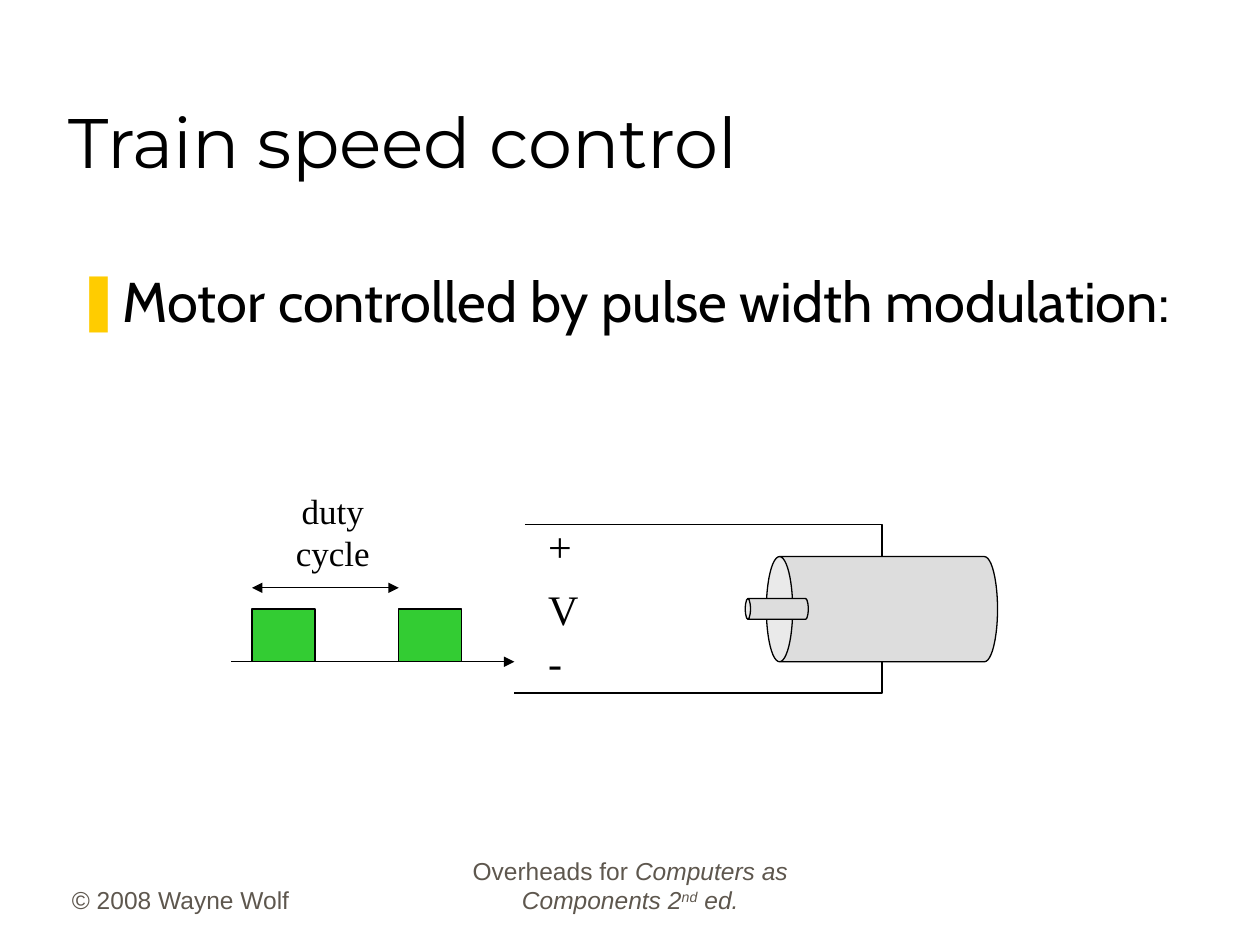
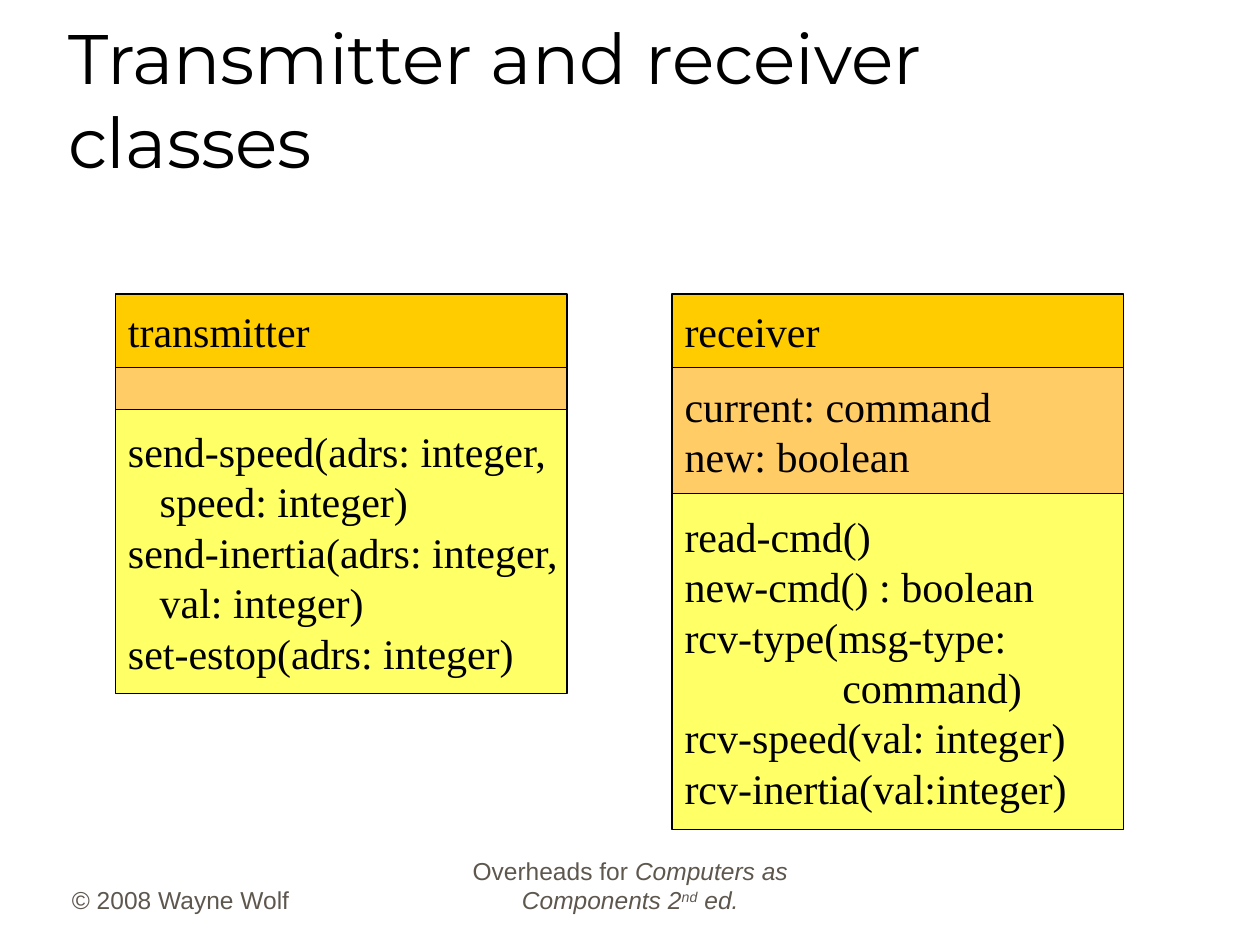
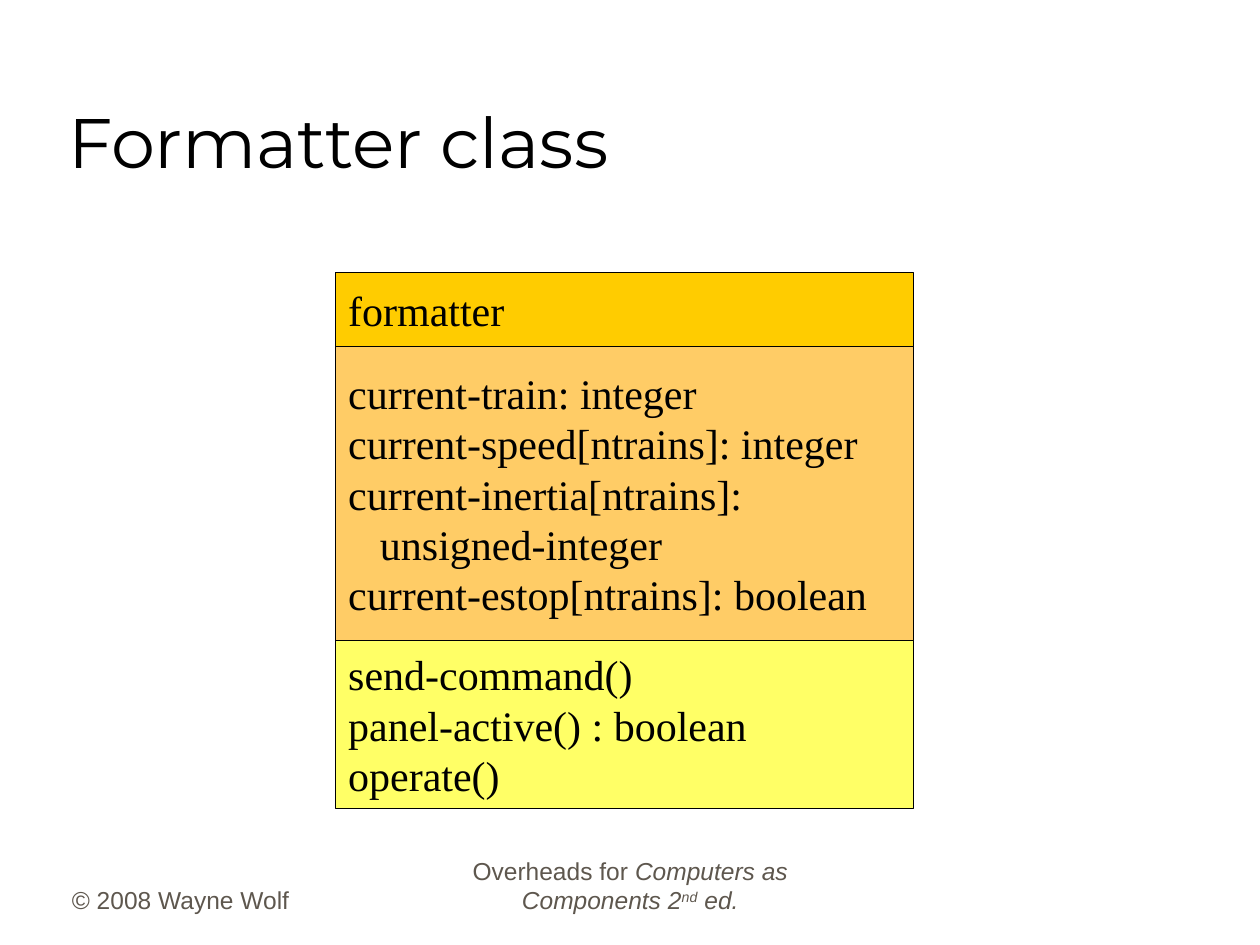
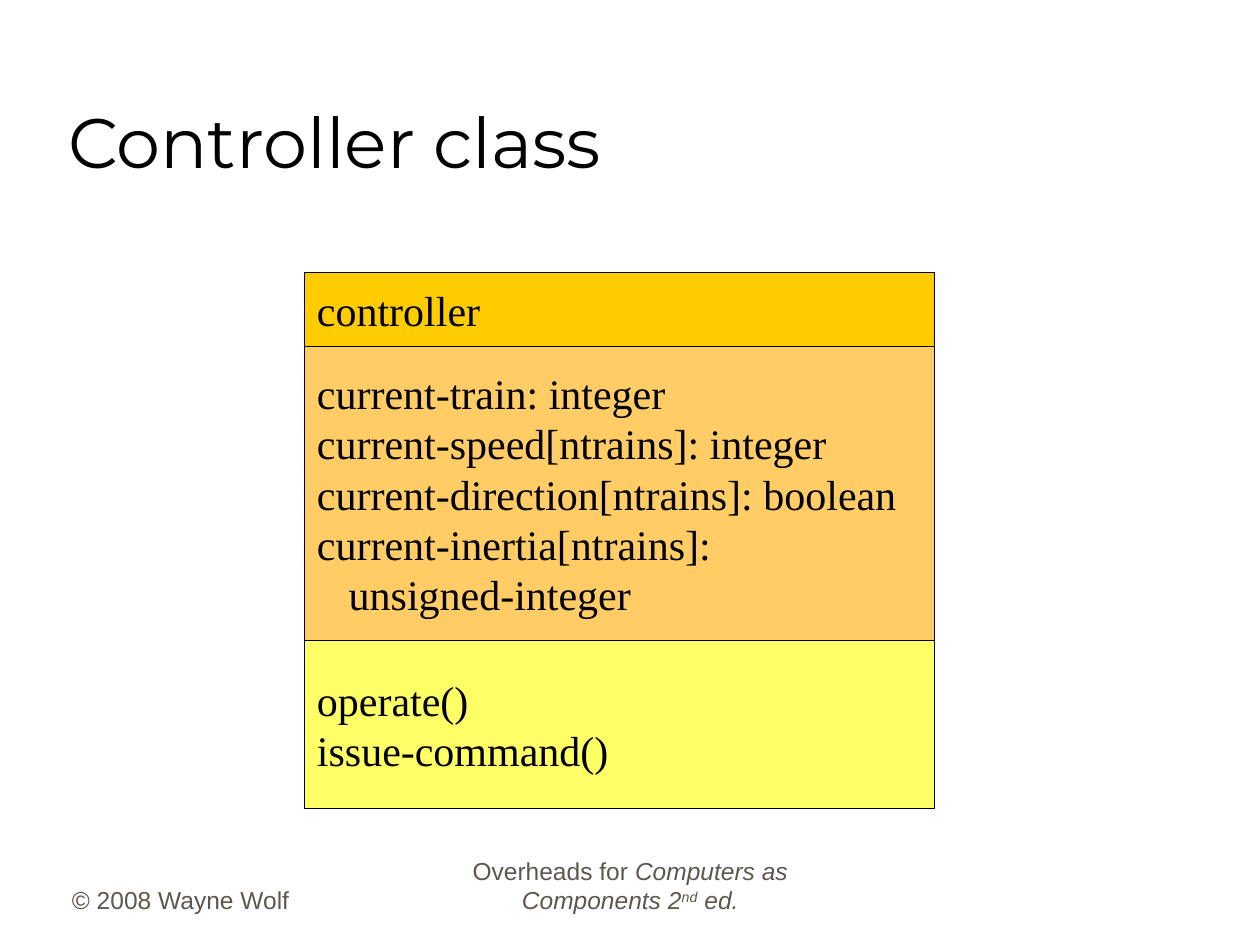
import pptx
import pptx.dml.color
import pptx.enum.shapes
import pptx.enum.text
import pptx.oxml.ns
import pptx.util

Cm, Pt = pptx.util.Cm, pptx.util.Pt
RGBColor = pptx.dml.color.RGBColor
Shape = pptx.enum.shapes.MSO_SHAPE
Link = pptx.enum.shapes.MSO_CONNECTOR
Align = pptx.enum.text.PP_ALIGN
Anchor = pptx.enum.text.MSO_ANCHOR
Fit = pptx.enum.text.MSO_AUTO_SIZE
qn = pptx.oxml.ns.qn

BLACK = RGBColor(0x00, 0x00, 0x00)
BROWN = RGBColor(0x5E, 0x57, 0x4E)
GOLD = RGBColor(0xFF, 0xCC, 0x00)
PEACH = RGBColor(0xFF, 0xCC, 0x66)
LEMON = RGBColor(0xFF, 0xFF, 0x66)
GREEN = RGBColor(0x33, 0xCC, 0x33)
GREY = RGBColor(0xDD, 0xDD, 0xDD)

FONTS = {
    "title": {"name": "Montserrat", "size": Pt(40)},
    "body": {"name": "Cabin", "size": Pt(32)},
    "foot": {"name": "Arial", "size": Pt(14)},
    "code": {"name": "Times New Roman", "size": Pt(24)},
    "note": {"name": "Times New Roman", "size": Pt(20)},
}
LEFT = {"alignment": Align.LEFT}
MID = {"alignment": Align.CENTER}
FRAME = {"word_wrap": True, "auto_size": Fit.NONE}
LABEL = {"word_wrap": False, "auto_size": Fit.SHAPE_TO_FIT_TEXT}

# Boxes are left, top, width, height in centimetres.
TITLE_BOX = (1.12, 0.62, 21.59, 3.18)
BODY_BOX = (1.27, 5.24, 22.71, 3.43)

# Each run is its text and its extra run attributes.
FEET = [
    ((1.2, 17.29, 5.28, 1.27), LEFT, [("© 2008 Wayne Wolf", {})]),
    ((8.68, 17.29, 8.05, 1.27), MID, [
        ("Overheads for ", {}),
        ("Computers as Components 2", {"i": "1"}),
        ("nd", {"i": "1", "baseline": "30000"}),
        (" ed.", {"i": "1"})]),
]

# A line of code is plain text, or an indent and a text.
STEP = 0.64
HEAD = 1.48
CLASSES = [
    ("Transmitter and receiver classes", [
        ((2.33, 5.93), 9.1, [
            (HEAD, ["transmitter"]),
            (0.85, []),
            (5.72, ["send-speed(adrs: integer,", (STEP, "speed: integer)"),
                    "send-inertia(adrs: integer,", (STEP, "val: integer)"),
                    "set-estop(adrs: integer)"])]),
        ((13.55, 5.93), 9.1, [
            (HEAD, ["receiver"]),
            (2.54, ["current: command", "new: boolean"]),
            (6.77, ["read-cmd()", "new-cmd() : boolean", "rcv-type(msg-type:",
                    (3.18, "command)"), "rcv-speed(val: integer)",
                    "rcv-inertia(val:integer)"])]),
    ]),
    ("Formatter class", [
        ((6.77, 5.5), 11.64, [
            (HEAD, ["formatter"]),
            (5.93, ["current-train: integer", "current-speed[ntrains]: integer",
                    "current-inertia[ntrains]:", (STEP, "unsigned-integer"),
                    "current-estop[ntrains]: boolean"]),
            (3.39, ["send-command()", "panel-active() : boolean", "operate()"])]),
    ]),
    ("Controller class", [
        ((6.14, 5.5), 12.7, [
            (HEAD, ["controller"]),
            (5.93, ["current-train: integer", "current-speed[ntrains]: integer",
                    "current-direction[ntrains]: boolean",
                    "current-inertia[ntrains]:", (STEP, "unsigned-integer")]),
            (3.39, ["operate()", "issue-command()"])]),
    ]),
]

MOTOR = [(16.72, 9.95, 2.12, 4.66), (15.45, 11.64, 0.42, 1.27)]
WIRES = [(10.58, 10.58, 17.78, 11.21), (10.37, 13.97, 17.78, 13.34)]
SIGNS = [("V", 11.64, 1.12), ("+", 10.37, 1.0), ("-", 12.7, 0.79)]
SIGN_X = 10.8
PULSES = [5.08, 8.04]
PULSE_W, PULSE_H = 1.27, 1.06
AXIS_Y, DUTY_Y = 13.34, 11.85
DUTY_BOX = (5.61, 9.74, 2.2, 1.96)


def put(obj, vals):
    for key, val in vals.items():
        setattr(obj, key, val)


def place(shape, box):
    put(shape, dict(zip(("left", "top", "width", "height"), map(Cm, box))))


def style(font, kind, color=BLACK):
    put(font, FONTS[kind])
    font.color.rgb = color


def write(frame, lines, kind, form=LEFT):
    for i, line in enumerate(lines):
        para = frame.add_paragraph() if i else frame.paragraphs[0]
        put(para, form)
        indent, text = (0, line) if isinstance(line, str) else line
        if indent:
            para._p.get_or_add_pPr().set("marL", str(Cm(indent)))
        run = para.add_run()
        run.text = text
        style(run.font, kind)


def add(node, tag, **vals):
    """Append an XML child and return it."""
    child = node.makeelement(qn(tag), vals)
    node.append(child)
    return child


def block(shapes, kind, box, color):
    shape = shapes.add_shape(kind, *map(Cm, box))
    shape.shadow.inherit = False
    shape.fill.solid()
    shape.fill.fore_color.rgb = color
    shape.line.color.rgb = BLACK
    shape.line.width = Pt(0.75)
    return shape


def join(slide, ends, kind=Link.STRAIGHT, tips=()):
    """Draw a line; tips holds the ends with arrowheads, head before tail."""
    line = slide.shapes.add_connector(kind, *map(Cm, ends))
    line.line.color.rgb = BLACK
    line.line.width = Pt(0.75)
    props = line._element.spPr
    for tip in tips:
        add(props.find(qn("a:ln")), f"a:{tip}End", type="triangle")
    add(props, "a:effectLst")
    return line


def label(slide, box, lines, kind, form=LEFT):
    frame = slide.shapes.add_textbox(*map(Cm, box)).text_frame
    put(frame, LABEL)
    write(frame, lines, kind, form)


def foot(slide):
    for box, form, runs in FEET:
        frame = slide.shapes.add_textbox(*map(Cm, box)).text_frame
        put(frame, {**FRAME, "vertical_anchor": Anchor.BOTTOM})
        para = frame.paragraphs[0]
        put(para, {**form, "space_before": Pt(8.8)})
        for text, marks in runs:
            run = para.add_run()
            run.text = text
            style(run.font, "foot", BROWN)
            for key, val in marks.items():
                run.font._element.set(key, val)


def start(deck, layout, title):
    slide = deck.slides.add_slide(deck.slide_layouts[layout])
    place(slide.shapes.title, TITLE_BOX)
    frame = slide.shapes.title.text_frame
    put(frame, {**FRAME, "vertical_anchor": Anchor.BOTTOM})
    write(frame, [title], "title")
    foot(slide)
    return slide


def point(slide, text):
    """Fill the body placeholder with one bulleted line."""
    body = slide.placeholders[1]
    place(body, BODY_BOX)
    put(body.text_frame, FRAME)
    write(body.text_frame, [text], "body", {**LEFT, "space_before": Pt(8)})
    props = body.text_frame.paragraphs[0]._p.get_or_add_pPr()
    props.set("marL", str(Cm(0.95)))
    props.set("indent", str(Cm(-0.95)))
    add(add(props, "a:buClr"), "a:srgbClr", val=str(GOLD))
    add(props, "a:buChar", char="❚")


def train(deck):
    slide = start(deck, 1, "Train speed control")
    point(slide, "Motor controlled by pulse width modulation:")
    group = slide.shapes.add_group_shape()
    for box in MOTOR:
        can = block(group.shapes, Shape.CAN, box, GREY)
        can.rotation = 270
        can.adjustments[0] = 0.25
    for ends in WIRES:
        wire = join(slide, ends, Link.ELBOW)
        wire._element.spPr.find(qn("a:prstGeom")).set("prst", "bentConnector2")
    for sign, top, width in SIGNS:
        label(slide, (SIGN_X, top, width, 1.27), [sign], "code")
    join(slide, (4.66, AXIS_Y, 10.37, AXIS_Y), tips=["tail"])
    for left in PULSES:
        box = (left, AXIS_Y - PULSE_H, PULSE_W, PULSE_H)
        block(slide.shapes, Shape.RECTANGLE, box, GREEN)
    join(slide, (PULSES[0], DUTY_Y, PULSES[1], DUTY_Y), tips=["head", "tail"])
    label(slide, DUTY_BOX, ["duty", "cycle"], "note", MID)


def draw(slide, spot, width, parts):
    """Stack the name, attribute and method boxes of one class."""
    left, top = spot
    for (height, lines), color in zip(parts, (GOLD, PEACH, LEMON)):
        box = block(slide.shapes, Shape.RECTANGLE, (left, top, width, height), color)
        put(box.text_frame, {**FRAME, "vertical_anchor": Anchor.MIDDLE, "margin_right": 0})
        write(box.text_frame, lines, "code")
        top += height


def main():
    deck = pptx.Presentation()
    put(deck, {"slide_width": Cm(25.4), "slide_height": Cm(19.05)})
    train(deck)
    for title, items in CLASSES:
        slide = start(deck, 5, title)
        for item in items:
            draw(slide, *item)
    deck.save("out.pptx")


if __name__ == "__main__":
    main()
